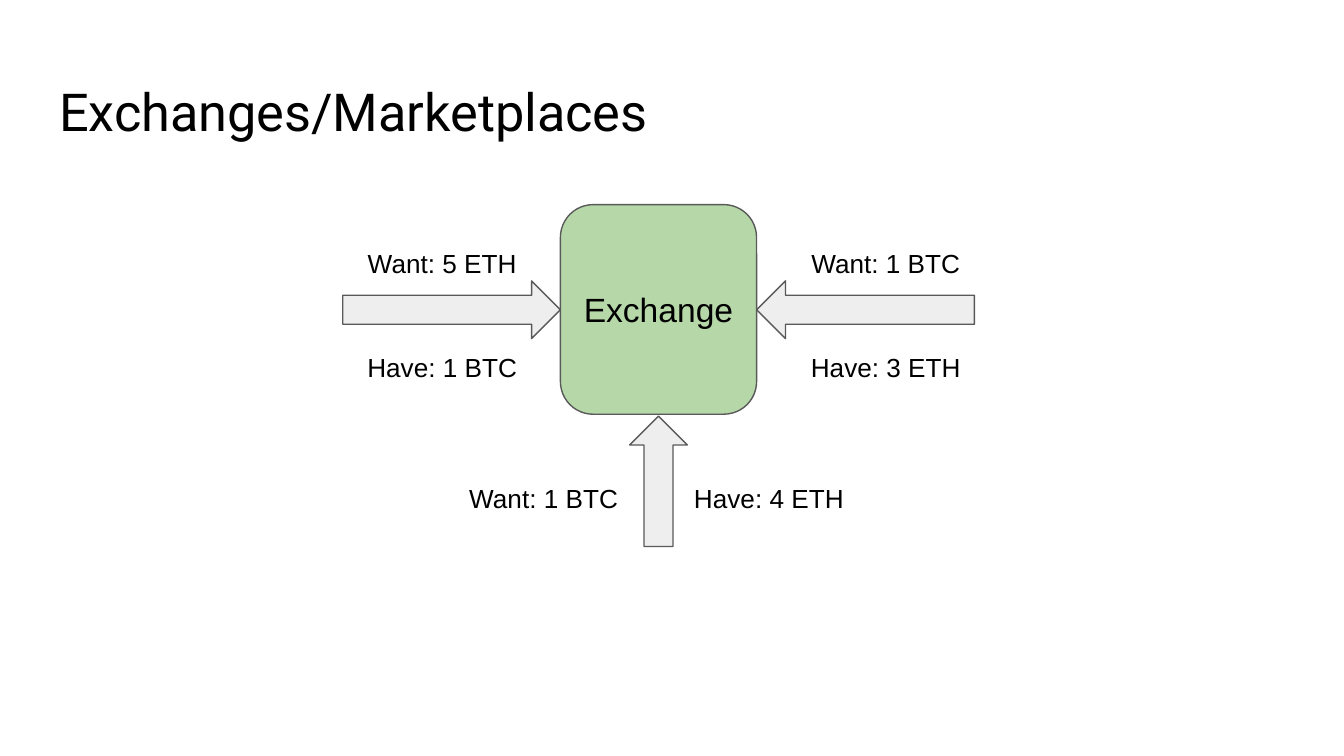
from pptx import Presentation
from pptx.dml.color import RGBColor
from pptx.enum.shapes import MSO_SHAPE
from pptx.enum.text import MSO_ANCHOR, MSO_AUTO_SIZE, PP_ALIGN
from pptx.util import Inches, Pt

COLS, ROWS = 100, 56.25
CELL = Inches(0.1)
MID = 49
BOX_W, BOX_H, BOX_TOP = 14.6, 15.6, 15.23
THICK = 4.3
TAG_W, TAG_H = 14.1, 4.4


def color(code):
    return RGBColor.from_string(code)


def grid(*cells):
    return [round(cell * CELL) for cell in cells]


def write(shape, text, size, face="Arial", align=PP_ALIGN.CENTER,
          anchor=MSO_ANCHOR.TOP):
    frame = shape.text_frame
    frame.text = text
    frame.word_wrap = True
    frame.auto_size = MSO_AUTO_SIZE.NONE
    frame.vertical_anchor = anchor
    frame.margin_left = frame.margin_right = CELL
    frame.margin_top = frame.margin_bottom = CELL
    line = frame.paragraphs[0]
    line.alignment = align
    line.font.name = face
    line.font.size = Pt(size)
    line.font.color.rgb = color("000000")


def add_title(slide, text):
    title = slide.shapes.title
    title.left, title.top, title.width, title.height = grid(
        3.4, 4.9, COLS - 6.8, 6.3)
    write(title, text, 28, "Roboto", PP_ALIGN.LEFT)


def add_block(slide, kind, place, fill):
    block = slide.shapes.add_shape(kind, *grid(*place))
    block.shadow.inherit = False
    block.fill.solid()
    block.fill.fore_color.rgb = color(fill)
    block.line.color.rgb = color("595959")
    block.line.width = Pt(0.75)
    return block


def add_tag(slide, text, col, row):
    tag = slide.shapes.add_textbox(*grid(col, row, TAG_W, TAG_H))
    write(tag, text, 14)


def main():
    deck = Presentation()
    deck.slide_width, deck.slide_height = grid(COLS, ROWS)
    slide = deck.slides.add_slide(deck.slide_layouts[5])
    add_title(slide, "Exchanges/Marketplaces")

    left, right = MID - BOX_W / 2, MID + BOX_W / 2
    reach, rise = 16.2, 9.7
    arrows = [
        (MSO_SHAPE.LEFT_ARROW, (right, 20.9, reach, THICK)),
        (MSO_SHAPE.RIGHT_ARROW, (left - reach, 20.9, reach, THICK)),
        (MSO_SHAPE.UP_ARROW, (MID - THICK / 2, 30.97, THICK, rise)),
    ]
    for kind, place in arrows:
        add_block(slide, kind, place, "EEEEEE")

    hub = add_block(slide, MSO_SHAPE.ROUNDED_RECTANGLE,
                    (left, BOX_TOP, BOX_W, BOX_H), "B6D7A8")
    write(hub, "Exchange", 18, anchor=MSO_ANCHOR.MIDDLE)

    want, have, low = 17.4, 25.16, 34.86
    tags = [
        ("Want: 5 ETH", 25.86, want),
        ("Have: 1 BTC", 25.86, have),
        ("Want: 1 BTC", 58.86, want),
        ("Have: 3 ETH", 58.86, have),
        ("Want: 1 BTC", 33.4, low),
        ("Have: 4 ETH", 50.16, low),
    ]
    for tag in tags:
        add_tag(slide, *tag)

    deck.save("out.pptx")


if __name__ == "__main__":
    main()
